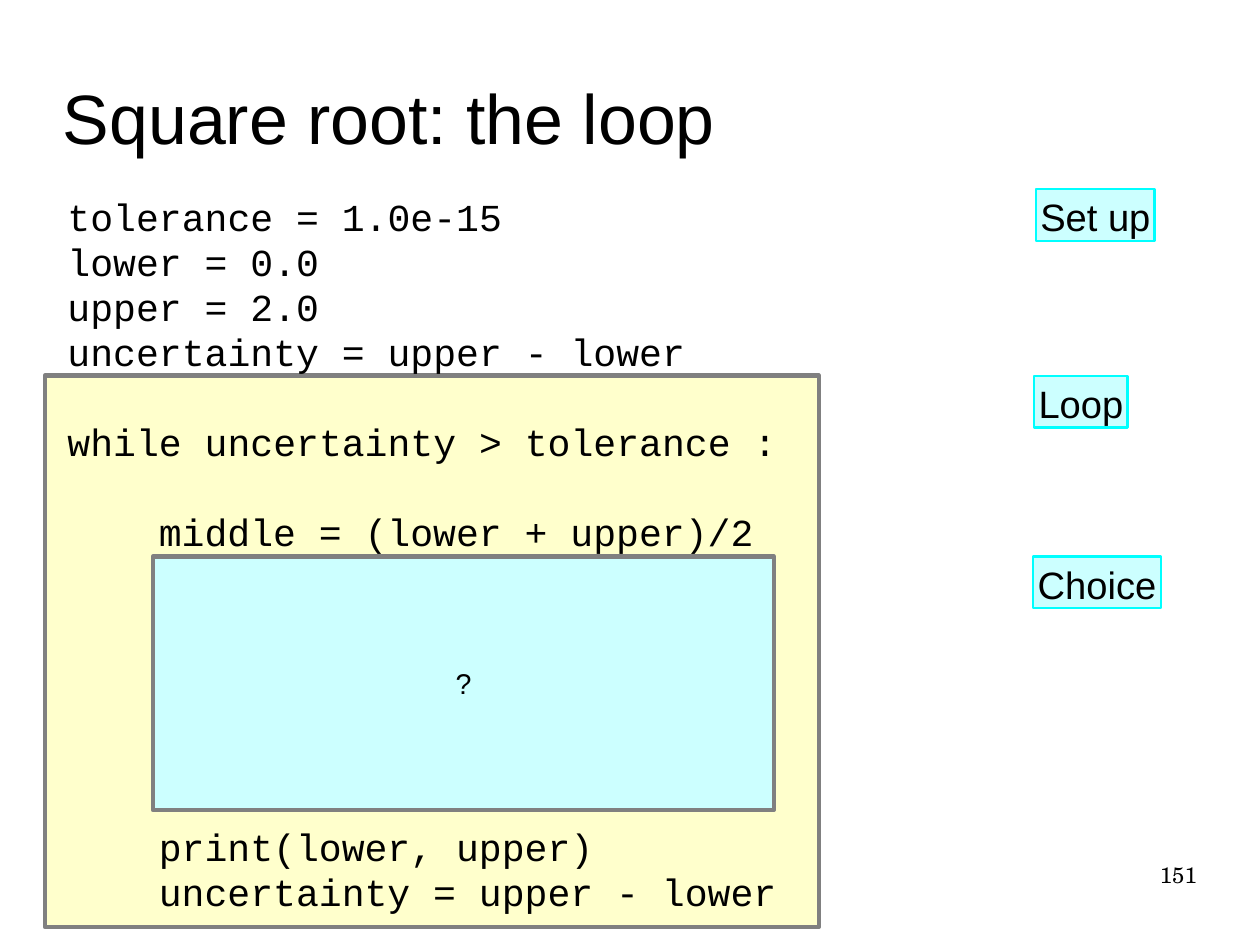
from pptx import Presentation
from pptx.dml.color import RGBColor
from pptx.enum.shapes import MSO_SHAPE as Shape
from pptx.enum.text import MSO_ANCHOR as Anchor, MSO_AUTO_SIZE as Fit, PP_ALIGN as Align
from pptx.util import Cm, Pt

# Grid of one-centimetre columns and rows
WIDE, HIGH = 28, 21
TOP = 4.2        # first code line
LEFT = 1.4       # code margin
DENT = 2.03      # one code indent
CHAR = 0.51      # width of one code letter
PAD = 0.1
LOOP_TOP, CHOICE_TOP = 8.35, 12.37

CODE = [  # row, indent, text
    (0, 0, "tolerance = 1.0e-15"),
    (1, 0, "lower = 0.0"),
    (2, 0, "upper = 2.0"),
    (3, 0, "uncertainty = upper - lower"),
    (5, 0, "while uncertainty > tolerance :"),
    (7, 1, "middle = (lower + upper)/2"),
    (14, 1, "print(lower, upper)"),
    (15, 1, "uncertainty = upper - lower"),
]
LABELS = [  # left, top, width, text
    (23.02, TOP, 2.64, "Set up"),
    (22.98, LOOP_TOP, 2.08, "Loop"),
    (22.96, CHOICE_TOP, 2.84, "Choice"),
]


def color(code):
    return RGBColor.from_string(code)


def write(shape, text, size, font="Arial", align=Align.LEFT,
          anchor=Anchor.TOP, pad=0, wrap=True):
    frame = shape.text_frame
    frame.word_wrap = wrap
    frame.auto_size = Fit.NONE
    frame.vertical_anchor = anchor
    frame.margin_left = frame.margin_right = Cm(pad)
    frame.margin_top = frame.margin_bottom = Cm(pad)
    para = frame.paragraphs[0]
    para.alignment = align
    run = para.add_run()
    run.text = text
    run.font.size = Pt(size)
    run.font.name = font
    run.font.color.rgb = color("000000")


def add_text(slide, area, text, size, **style):
    box = slide.shapes.add_textbox(*map(Cm, area))
    write(box, text, size, **style)


def add_box(slide, area, fill, line, width):
    box = slide.shapes.add_shape(Shape.RECTANGLE, *map(Cm, area))
    box.shadow.inherit = False
    box.fill.solid()
    box.fill.fore_color.rgb = color(fill)
    box.line.color.rgb = color(line)
    box.line.width = Pt(width)
    return box


def add_code(slide, row, dent, text):
    area = (LEFT + dent * DENT, TOP + row, len(text) * CHAR + 2 * PAD, 1.16)
    add_text(slide, area, text, 24, font="Courier New", pad=PAD, wrap=False)


def add_label(slide, left, top, width, text):
    box = add_box(slide, (left, top, width, 1.15), "CCFFFF", "00FFFF", 1.42)
    write(box, text, 24, pad=PAD, wrap=False)


def main():
    deck = Presentation()
    deck.slide_width, deck.slide_height = Cm(WIDE), Cm(HIGH)
    slide = deck.slides.add_slide(deck.slide_layouts[6])

    add_text(slide, (20.07, 19.13, 6.53, 1.45), "151", 14,
             font="TeX Gyre Schola", align=Align.RIGHT)
    add_box(slide, (1, LOOP_TOP, 17.2, 12.25), "FFFFCC", "808080", 2.83)
    add_text(slide, (LEFT, 0.84, WIDE - 2 * LEFT, 3.5),
             "Square root: the loop", 44, anchor=Anchor.MIDDLE)
    for line in CODE:
        add_code(slide, *line)
    choice = add_box(slide, (3.4, CHOICE_TOP, 13.8, 5.63),
                     "CCFFFF", "808080", 2.83)
    write(choice, "?", 18, align=Align.CENTER, anchor=Anchor.MIDDLE, wrap=False)
    for label in LABELS:
        add_label(slide, *label)

    deck.save("out.pptx")


if __name__ == "__main__":
    main()
